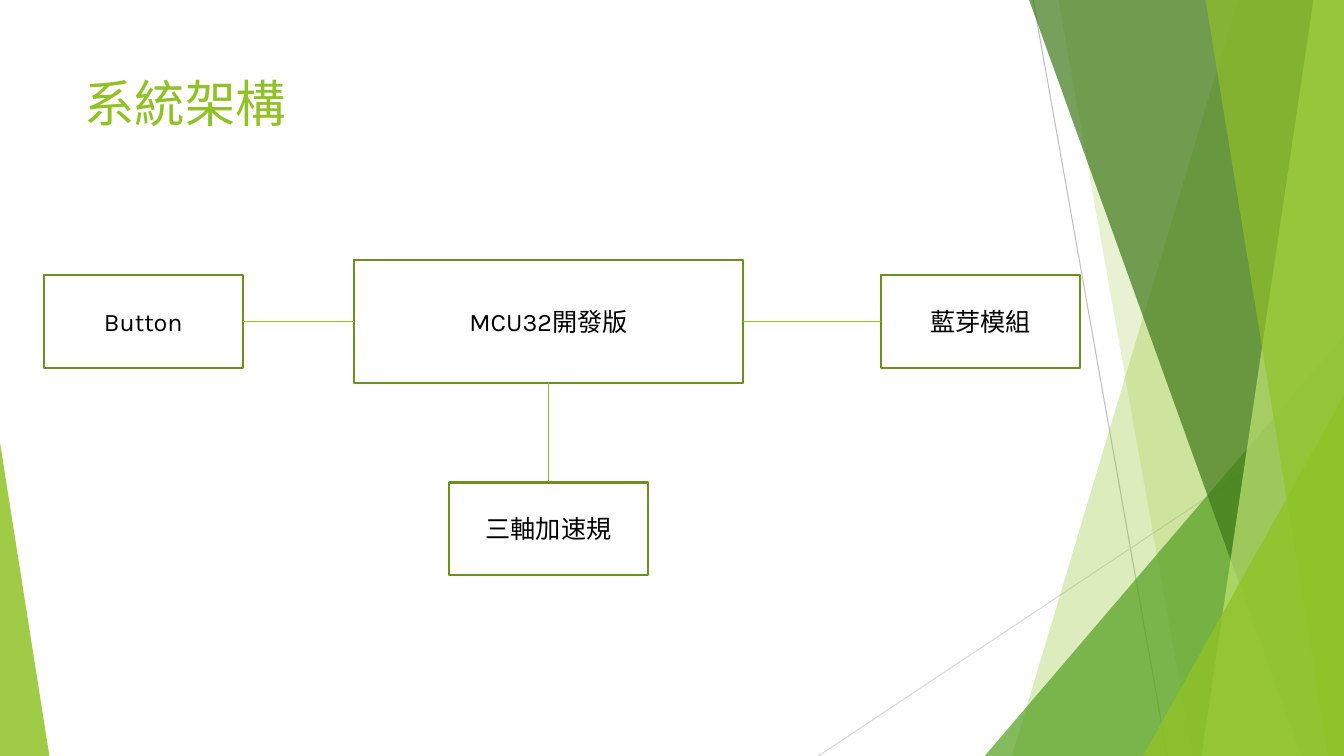
from collections import namedtuple
from dataclasses import dataclass

from lxml import etree
from pptx import Presentation
from pptx.dml.color import RGBColor
from pptx.enum.shapes import MSO_CONNECTOR, MSO_SHAPE
from pptx.enum.text import MSO_ANCHOR, PP_ALIGN
from pptx.oxml.ns import qn
from pptx.util import Pt

STRAIGHT = MSO_CONNECTOR.STRAIGHT
RECTANGLE = MSO_SHAPE.RECTANGLE
TRIANGLE = MSO_SHAPE.ISOSCELES_TRIANGLE
TOP, MIDDLE = MSO_ANCHOR.TOP, MSO_ANCHOR.MIDDLE
LEFT, CENTER = PP_ALIGN.LEFT, PP_ALIGN.CENTER
SITE_TOP, SITE_LEFT, SITE_BOTTOM, SITE_RIGHT = range(4)

Box = namedtuple("Box", "left top width height")


@dataclass(frozen=True)
class Theme:
    font: str = "Karla"
    title_size: float = 36
    label_size: float = 18
    paper: str = "FFFFFF"
    ink: str = "000000"
    accent: str = "90C226"
    outline: str = "6B901C"
    leaf: str = "54A021"
    forest: str = "3F7819"
    lime: str = "C0E474"
    steep_line: str = "BFBFBF"
    shallow_line: str = "D9D9D9"


THEME = Theme()


def points(*values):
    return [Pt(value) for value in values]


def paint(shape, color, opacity=100):
    shape.shadow.inherit = False
    shape.fill.solid()
    shape.fill.fore_color.rgb = RGBColor.from_string(color)
    shape.line.fill.background()
    if opacity < 100:
        tint = shape.fill._xPr.find(qn("a:solidFill"))[0]
        etree.SubElement(tint, qn("a:alpha"), val=str(opacity * 1000))


def add_line(page, start, end, color, width):
    line = page.shapes.add_connector(STRAIGHT, *points(*start, *end))
    line.line.color.rgb = RGBColor.from_string(color)
    line.line.width = Pt(width)
    etree.SubElement(line._element.spPr, qn("a:effectLst"))
    return line


def write(shape, text, size, color, anchor, alignment):
    frame = shape.text_frame
    for name, value in {"word_wrap": True, "vertical_anchor": anchor}.items():
        setattr(frame, name, value)
    para = frame.paragraphs[0]
    para.alignment = alignment
    span = para.add_run()
    span.text = text
    span.font.color.rgb = RGBColor.from_string(color)
    for name, value in {"name": THEME.font, "size": Pt(size)}.items():
        setattr(span.font, name, value)


def add_band(page, box, top_inset, bottom_inset, color, opacity):
    right, bottom = box.left + box.width, box.top + box.height
    corners = [(right, box.top), (right, bottom), (right - bottom_inset, bottom)]
    outline = page.shapes.build_freeform(*points(right - top_inset, box.top), scale=1.0)
    outline.add_line_segments([points(*corner) for corner in corners], close=True)
    paint(outline.convert_to_shape(), color, opacity)


def add_wedge(page, box, width, height, side, color, opacity):
    left = box.left + side * (box.width - width)
    top = box.top + box.height - height
    wedge = page.shapes.add_shape(TRIANGLE, *points(left, top, width, height))
    wedge.adjustments[0] = side
    paint(wedge, color, opacity)


def add_backdrop(page, box):
    right, bottom = box.left + box.width, box.top + box.height
    add_line(page, (right - 222, box.top), (right - 126.2, bottom), THEME.steep_line, 0.75)
    add_line(page, (right, bottom - 249.8), (right - 375.4, bottom), THEME.shallow_line, 0.75)
    facets = [
        (add_band, 75.8, 237.1, THEME.accent, 30),
        (add_band, 204, 108.2, THEME.accent, 20),
        (add_wedge, 256.6, 300.2, 1, THEME.leaf, 72),
        (add_band, 224.9, 30.5, THEME.forest, 70),
        (add_band, 21.8, 101.8, THEME.lime, 70),
        (add_band, 98.9, 11, THEME.accent, 65),
        (add_wedge, 143.5, 257, 1, THEME.accent, 80),
        (add_wedge, 35.3, 223.9, 0, THEME.accent, 85),
    ]
    for draw, *details in facets:
        draw(page, box, *details)


def add_title(page, box, text):
    title = page.shapes.add_textbox(*points(*box))
    write(title, text, THEME.title_size, THEME.accent, TOP, LEFT)


def add_block(page, box, text):
    block = page.shapes.add_shape(RECTANGLE, *points(*box))
    paint(block, THEME.paper)
    block.line.color.rgb = RGBColor.from_string(THEME.outline)
    block.line.width = Pt(1.5)
    write(block, text, THEME.label_size, THEME.ink, MIDDLE, CENTER)
    return block


def join(page, start, start_site, end, end_site):
    link = add_line(page, (0, 0), (0, 0), THEME.accent, 1)
    link.begin_connect(start, start_site)
    link.end_connect(end, end_site)


def add_architecture(page, box):
    hub_width, hub_height = 278, 88
    part_width, part_height = 142.4, 66.2
    hub_left = box.left + 221.6
    part_top = box.top + (hub_height - part_height) / 2
    sensor_left = hub_left + (hub_width - part_width) / 2
    sensor_top = box.top + box.height - part_height
    radio_left = box.left + box.width - part_width

    hub = add_block(page, Box(hub_left, box.top, hub_width, hub_height), "MCU32開發版")
    button, sensor, radio = [
        add_block(page, Box(left, top, part_width, part_height), text)
        for left, top, text in [
            (box.left, part_top, "Button"),
            (sensor_left, sensor_top, "三軸加速規"),
            (radio_left, part_top, "藍芽模組"),
        ]
    ]
    join(page, hub, SITE_LEFT, button, SITE_RIGHT)
    join(page, hub, SITE_BOTTOM, sensor, SITE_TOP)
    join(page, radio, SITE_LEFT, hub, SITE_RIGHT)


def main():
    deck = Presentation()
    deck.slide_width, deck.slide_height = points(960, 540)
    page = deck.slides.add_slide(deck.slide_layouts[6])
    add_backdrop(page, Box(0, 0, 960, 540))
    add_title(page, Box(53.3, 48.2, 676.8, 103.7), "系統架構")
    add_architecture(page, Box(31.2, 185.8, 740.4, 225))
    deck.save("out.pptx")


if __name__ == "__main__":
    main()
